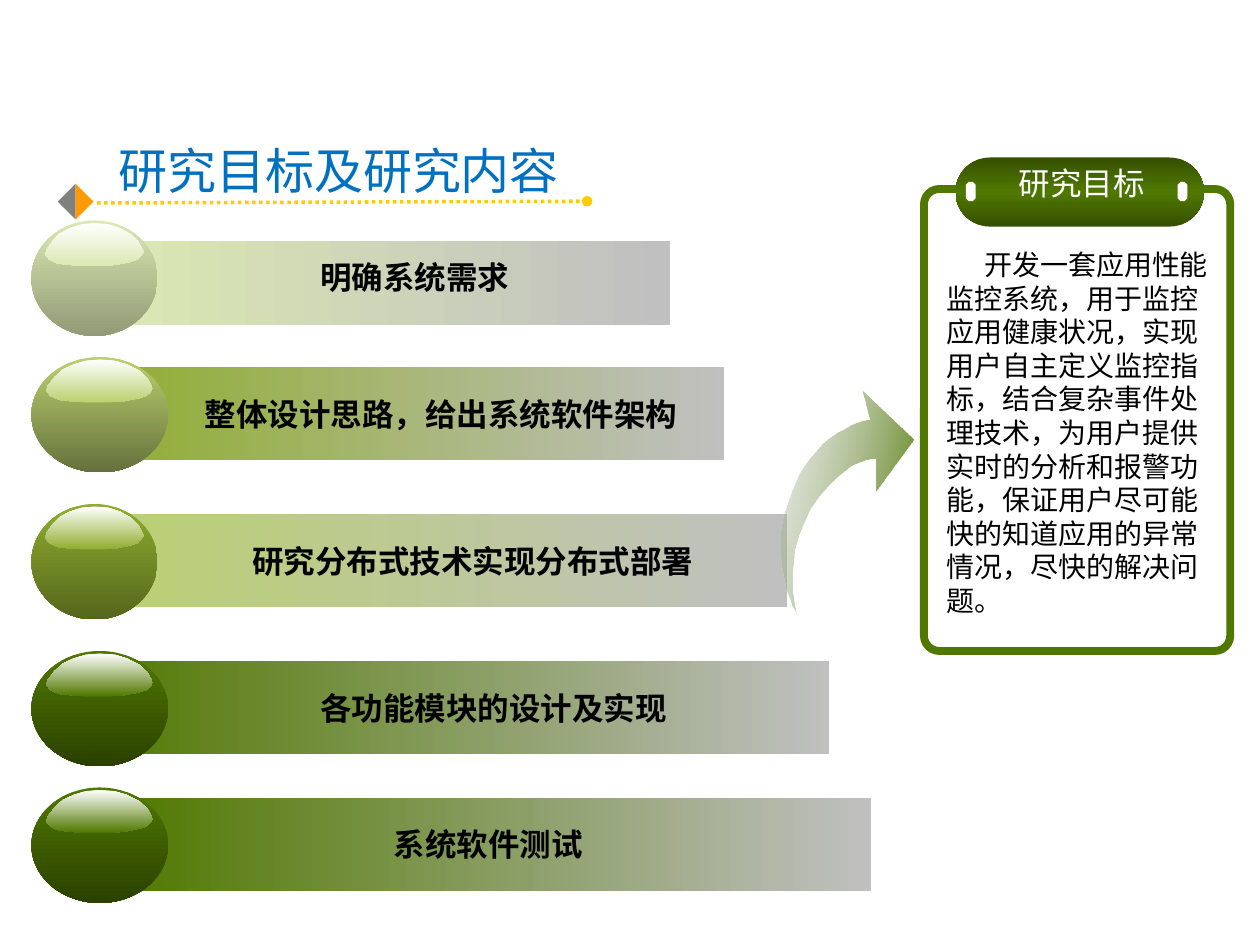
from dataclasses import dataclass

from lxml.etree import SubElement
from pptx import Presentation
from pptx.dml.color import RGBColor
from pptx.enum.dml import MSO_LINE
from pptx.enum.lang import MSO_LANGUAGE_ID
from pptx.enum.shapes import MSO_CONNECTOR, MSO_SHAPE
from pptx.enum.text import MSO_ANCHOR, MSO_AUTO_SIZE, PP_ALIGN
from pptx.oxml.ns import qn
from pptx.util import Pt


@dataclass(frozen=True)
class Theme:
    title: str = "0070C0"
    text: str = "000000"
    white: str = "FFFFFF"
    silver: str = "C0C0C0"
    gray: str = "808080"
    orange: str = "FF9900"
    yellow: str = "FFCC00"
    green: str = "507800"
    deep_green: str = "355000"
    arrow_tail: str = "B7C1B0"
    title_size: float = 28
    label_size: float = 18
    body_size: float = 16
    title_font: str = "Noto Sans CJK SC"
    body_font: str = "Arial"


@dataclass(frozen=True)
class Box:
    left: float
    top: float
    width: float
    height: float

    def lengths(self) -> tuple:
        return Pt(self.left), Pt(self.top), Pt(self.width), Pt(self.height)


@dataclass(frozen=True)
class Stop:
    position: int
    color: str
    opacity: int = 100


@dataclass(frozen=True)
class Topic:
    text: str
    ball: Box
    ball_color: str
    ball_shade: str
    bar: Box
    bar_color: str
    label_left: float
    label_width: float


THEME = Theme()
UNIT = 0.72

TOPICS = [
    Topic("明确系统需求", Box(18, 126, 72, 66), "DBE8B2", "929A76",
          Box(60, 138, 323, 48), "DBE8B2", 126, 222),
    Topic("整体设计思路，给出系统软件架构", Box(18, 204, 78, 66), "BAD16F", "65713C",
          Box(48, 210, 366, 53), "8FAD2F", 96, 312),
    Topic("研究分布式技术实现分布式部署", Box(18, 288, 72, 66), "8FAD2F", "55671C",
          Box(42, 294, 408, 53), "BAD16F", 84, 372),
    Topic("各功能模块的设计及实现", Box(18, 372, 78, 66), "507800", "2B4100",
          Box(48, 378, 426, 53), "507800", 114, 336),
    Topic("系统软件测试", Box(18, 450, 78, 66), "507800", "2B4100",
          Box(66, 456, 432, 53), "507800", 120, 318),
]

GLOSS = [
    (87, 21), (89, 25), (87, 28), (84, 31), (78, 33), (68, 35), (58, 36), (39, 36),
    (28, 35), (20, 34), (14, 31), (11, 27), (12, 23), (17, 16), (23, 10), (31, 6),
    (40, 3), (50, 2), (61, 3), (70, 6), (79, 11), (85, 17),
]

ARROW = [
    (632, 488), (631, 481), (629, 469), (629, 453), (631, 435), (634, 425), (638, 415),
    (643, 404), (650, 394), (656, 387), (663, 380), (669, 375), (674, 371), (680, 368),
    (685, 366), (689, 365), (695, 364), (695, 390), (725, 349), (684, 310), (690, 333),
    (684, 334), (676, 337), (671, 340), (665, 343), (659, 347), (653, 352), (647, 359),
    (641, 366), (635, 375), (630, 386), (626, 397), (622, 409), (620, 421), (620, 442),
    (621, 452), (623, 461), (624, 468), (627, 475), (629, 481), (631, 484),
]

GOAL = ("开发一套应用性能监控系统，用于监控应用健康状况，实现用户自主定义监控指标，"
        "结合复杂事件处理技术，为用户提供实时的分析和报警功能，保证用户尽可能快的知道"
        "应用的异常情况，尽快的解决问题。")


def fill_gradient(shape, stops: list[Stop], angle: float) -> None:
    shape.fill.solid()
    solid = shape._element.spPr.find(qn("a:solidFill"))
    gradient = solid.makeelement(qn("a:gradFill"), {"rotWithShape": "1"})
    stop_list = SubElement(gradient, qn("a:gsLst"))
    for stop in stops:
        entry = SubElement(stop_list, qn("a:gs"), pos=str(stop.position * 1000))
        color = SubElement(entry, qn("a:srgbClr"), val=stop.color)
        if stop.opacity < 100:
            SubElement(color, qn("a:alpha"), val=str(stop.opacity * 1000))
    SubElement(gradient, qn("a:lin"), ang=str(int(angle * 60000)), scaled="0")
    solid.getparent().replace(solid, gradient)


def paint(shape, fill: str | list[Stop] | None, angle: float = 0):
    shape.shadow.inherit = False
    shape.line.fill.background()
    if fill is None:
        shape.fill.background()
    elif isinstance(fill, str):
        shape.fill.solid()
        shape.fill.fore_color.rgb = RGBColor.from_string(fill)
    else:
        fill_gradient(shape, fill, angle)
    return shape


def add_preset(slide, kind: MSO_SHAPE, box: Box, fill, angle: float = 0):
    return paint(slide.shapes.add_shape(kind, *box.lengths()), fill, angle)


def add_outline(slide, points: list[tuple[float, float]], fill, angle: float = 0):
    corners = [(Pt(x), Pt(y)) for x, y in points]
    builder = slide.shapes.build_freeform(*corners[0], scale=1.0)
    builder.add_line_segments(corners[1:], close=True)
    return paint(builder.convert_to_shape(), fill, angle)


def write_text(shape, text: str, *, size: float, color: str, font: str = THEME.body_font,
               bold: bool = False, align: PP_ALIGN = PP_ALIGN.CENTER,
               indent: float = 0) -> None:
    frame = shape.text_frame
    frame.word_wrap = True
    frame.auto_size = MSO_AUTO_SIZE.NONE
    frame.vertical_anchor = MSO_ANCHOR.TOP
    paragraph = frame.paragraphs[0]
    paragraph.alignment = align
    paragraph.line_spacing = Pt(size * 1.2)
    if indent:
        paragraph._p.get_or_add_pPr().set("indent", str(Pt(indent)))
    run = paragraph.add_run()
    run.text = text
    run.font.name = font
    run.font.size = Pt(size)
    run.font.bold = bold
    run.font.color.rgb = RGBColor.from_string(color)
    run.font.language_id = MSO_LANGUAGE_ID.SIMPLIFIED_CHINESE


def add_text(slide, box: Box, text: str, **text_format) -> None:
    write_text(slide.shapes.add_textbox(*box.lengths()), text, **text_format)


def draw_heading(slide) -> None:
    title = slide.shapes.title
    title.left, title.top, title.width, title.height = Box(56, 77, 275, 41).lengths()
    write_text(title, "研究目标及研究内容", size=THEME.title_size, color=THEME.title,
               font=THEME.title_font)
    rule = slide.shapes.add_connector(
        MSO_CONNECTOR.STRAIGHT, Pt(55.5), Pt(116), Pt(335.5), Pt(115))
    rule.line.color.rgb = RGBColor.from_string(THEME.yellow)
    rule.line.width = Pt(2)
    rule.line.dash_style = MSO_LINE.ROUND_DOT
    SubElement(rule.line._get_or_add_ln(), qn("a:tailEnd"), type="oval")
    SubElement(rule._element.spPr, qn("a:effectLst"))
    for color, rotation in ((THEME.gray, 45), (THEME.orange, 225)):
        half = add_preset(slide, MSO_SHAPE.RIGHT_TRIANGLE, Box(36, 108, 14.4, 14.4), color)
        half.rotation = rotation


def draw_topic(slide, topic: Topic) -> None:
    ball = topic.ball
    add_preset(slide, MSO_SHAPE.RECTANGLE, topic.bar,
               [Stop(0, topic.bar_color), Stop(100, THEME.silver)])
    add_preset(slide, MSO_SHAPE.OVAL, ball,
               [Stop(0, topic.ball_color), Stop(100, topic.ball_shade)], 90)
    gloss = [(ball.left + x * ball.width / 100, ball.top + y * UNIT) for x, y in GLOSS]
    add_outline(slide, gloss, [Stop(0, THEME.white), Stop(100, topic.ball_color)], 90)
    add_text(slide, Box(topic.label_left, ball.top + 18, topic.label_width, 29), topic.text,
             size=THEME.label_size, color=THEME.text, bold=True)


def draw_goal(slide) -> None:
    add_outline(slide, [(x * UNIT, y * UNIT) for x, y in ARROW],
                [Stop(0, THEME.arrow_tail, 32), Stop(100, THEME.green)], 12)
    panel = add_preset(slide, MSO_SHAPE.ROUNDED_RECTANGLE, Box(528, 108, 175, 264), None)
    panel.adjustments[0] = 0.05
    panel.line.color.rgb = RGBColor.from_string(THEME.green)
    panel.line.width = Pt(4.5)
    header = add_preset(
        slide, MSO_SHAPE.ROUNDED_RECTANGLE, Box(546, 90, 142, 39.5),
        [Stop(0, THEME.deep_green), Stop(50, THEME.green), Stop(100, THEME.deep_green)], 90)
    header.adjustments[0] = 0.5
    for left in (552, 673):
        add_preset(slide, MSO_SHAPE.OCTAGON, Box(left, 104, 5.5, 11), THEME.white)
    add_text(slide, Box(570, 90, 96, 29), "研究目标", size=THEME.label_size, color=THEME.white)
    add_text(slide, Box(534, 138, 168, 220), GOAL, size=THEME.body_size, color=THEME.text,
             align=PP_ALIGN.LEFT, indent=21.6)


def main() -> None:
    presentation = Presentation()
    presentation.slide_width, presentation.slide_height = Pt(720), Pt(540)
    slide = presentation.slides.add_slide(presentation.slide_layouts[5])
    draw_heading(slide)
    for topic in TOPICS:
        draw_topic(slide, topic)
    draw_goal(slide)
    presentation.save("out.pptx")


if __name__ == "__main__":
    main()
